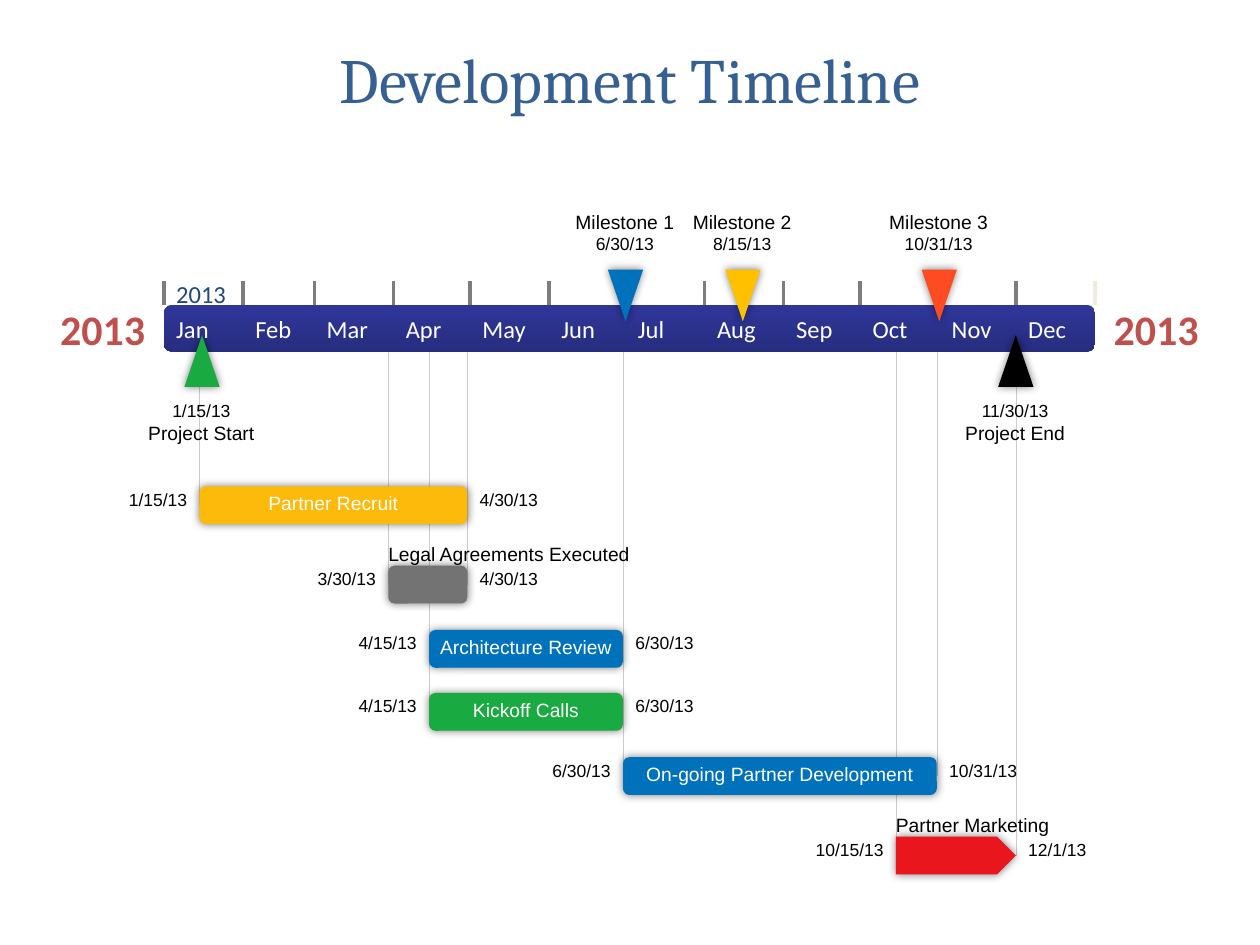
import pptx
import pptx.util
import pptx.dml.color
import pptx.enum.shapes
import pptx.enum.text
import pptx.oxml
import pptx.oxml.ns

Inches = pptx.util.Inches
Pt = pptx.util.Pt
RGB = pptx.dml.color.RGBColor
KIND = pptx.enum.shapes.MSO_SHAPE
ALIGN = pptx.enum.text.PP_ALIGN
ANCHOR = pptx.enum.text.MSO_ANCHOR

BLACK = RGB(0, 0, 0)
WHITE = RGB(255, 255, 255)
BLUE = RGB(0x00, 0x72, 0xBC)
GREEN = RGB(0x1A, 0xAA, 0x42)
GOLD = RGB(0xFE, 0xBA, 0x0A)
AMBER = RGB(0xFF, 0xC0, 0x00)
ORANGE = RGB(0xFF, 0x4B, 0x21)
RED = RGB(0xEA, 0x16, 0x1E)
GRAY = RGB(0x73, 0x73, 0x73)
TICK = RGB(0x7D, 0x7D, 0x7D)
PALE = RGB(0xEE, 0xEC, 0xE1)
RULE = RGB(0xCC, 0xCC, 0xCC)
BRICK = RGB(0xC0, 0x50, 0x4D)
NAVY = RGB(0x1F, 0x49, 0x7D)
STEEL = RGB(0x37, 0x60, 0x92)
INDIGO = (RGB(0x2F, 0x36, 0x99), RGB(0x27, 0x2D, 0x7F))

LEFT, TOP, WIDTH, HEIGHT = 1.3, 2.42, 7.39, 0.37
MONTHS = {"Jan": 31, "Feb": 28, "Mar": 31, "Apr": 30, "May": 31, "Jun": 30,
          "Jul": 31, "Aug": 31, "Sep": 30, "Oct": 31, "Nov": 30, "Dec": 31}

# name, start, end, top, colour, name inside the bar, shape
TASKS = [
    ("Partner Recruit", "1/15/13", "4/30/13", 3.86, GOLD, True, KIND.ROUNDED_RECTANGLE),
    ("Legal Agreements Executed", "3/30/13", "4/30/13", 4.49, GRAY, False,
     KIND.ROUNDED_RECTANGLE),
    ("Architecture Review", "4/15/13", "6/30/13", 5, BLUE, True, KIND.ROUNDED_RECTANGLE),
    ("Kickoff Calls", "4/15/13", "6/30/13", 5.5, GREEN, True, KIND.ROUNDED_RECTANGLE),
    ("On-going Partner Development", "6/30/13", "10/31/13", 6.01, BLUE, True,
     KIND.ROUNDED_RECTANGLE),
    ("Partner Marketing", "10/15/13", "12/1/13", 6.64, RED, False, KIND.PENTAGON),
]
# name, date, colour, above the band
MARKS = [
    ("Project End", "11/30/13", BLACK, False),
    ("Milestone 3", "10/31/13", ORANGE, True),
    ("Milestone 2", "8/15/13", AMBER, True),
    ("Milestone 1", "6/30/13", BLUE, True),
    ("Project Start", "1/15/13", GREEN, False),
]


def place(date):
    """Return the horizontal position of a date on the band."""
    month, day = [int(part) for part in date.split("/")[:2]]
    days = sum(list(MONTHS.values())[:month - 1]) + day - 1
    return LEFT + WIDTH * days / 365


def apply(item, values):
    """Set each attribute in a dict of format values."""
    for name, value in values.items():
        setattr(item, name, value)


def write(shape, text, size, color, face="Arial", align=ALIGN.LEFT, bold=False,
          anchor=ANCHOR.TOP, wrap=False, pads=(0.1, 0.05, 0.1, 0.05), space=None):
    """Fill a shape with one formatted paragraph."""
    frame = shape.text_frame
    sides = ("margin_left", "margin_top", "margin_right", "margin_bottom")
    apply(frame, {"text": text, "word_wrap": wrap, "vertical_anchor": anchor})
    apply(frame, {side: Inches(pad) for side, pad in zip(sides, pads)})
    para = frame.paragraphs[0]
    apply(para, {"alignment": align, "line_spacing": space})
    font = para.runs[0].font
    apply(font, {"name": face, "size": Pt(size), "bold": bold})
    font.color.rgb = color


def label(slide, box, text, size, color, **style):
    """Add a text box."""
    shape = slide.shapes.add_textbox(*[Inches(n) for n in box])
    write(shape, text, size, color, **style)


def line(slide, x, start, end, color, width):
    """Add an upright line."""
    rule = slide.shapes.add_connector(
        pptx.enum.shapes.MSO_CONNECTOR.STRAIGHT,
        Inches(x), Inches(start), Inches(x), Inches(end))
    rule.line.color.rgb = color
    rule.line.width = Pt(width)
    rule._element.spPr.append(pptx.oxml.parse_xml(
        "<a:effectLst %s/>" % pptx.oxml.ns.nsdecls("a")))


def block(slide, kind, box, color=None):
    """Add a shape without outline; a coloured one gets a soft shadow."""
    shape = slide.shapes.add_shape(kind, *[Inches(n) for n in box])
    shape.shadow.inherit = False
    shape.line.fill.background()
    if color is not None:
        shape.fill.solid()
        shape.fill.fore_color.rgb = color
        glow = shape._element.spPr.find(pptx.oxml.ns.qn("a:effectLst"))
        glow.append(pptx.oxml.parse_xml(
            '<a:outerShdw %s blurRad="%d" dist="0" dir="0" algn="ctr" rotWithShape="0">'
            '<a:srgbClr val="000000"><a:alpha val="50000"/></a:srgbClr>'
            '</a:outerShdw>' % (pptx.oxml.ns.nsdecls("a"), Pt(5))))
    return shape


def bar(slide, name, start, end, top, color, inside, kind):
    """Add a task bar with its two drop lines."""
    left, right = place(start), place(end)
    for x in (right, left):
        line(slide, x, TOP + HEIGHT, top + 0.15, RULE, 0.1)
    shape = block(slide, kind, (left, top, right - left, 0.3), color)
    if inside:
        write(shape, name, 11, WHITE, align=ALIGN.CENTER, anchor=ANCHOR.MIDDLE,
              pads=(0.05, 0.02, 0.05, 0.01), space=Pt(10))


def notes(slide, name, start, end, top, color, inside, kind):
    """Add the dates beside a bar, and its name above if not inside."""
    left, right = place(start), place(end)
    if not inside:
        label(slide, (left, top - 0.15, 2.36, 0.15), name, 11, BLACK,
              anchor=ANCHOR.BOTTOM, wrap=True, pads=(0, 0, 0, 0), space=Pt(10.5))
    wide = 0.15 + 0.07 * len(start)
    label(slide, (left - wide, top - 0.03, wide, 0.36), start, 10, BLACK,
          align=ALIGN.RIGHT, pads=(0, 0.05, 0.1, 0.05))
    label(slide, (right, top - 0.03, 0.15 + 0.07 * len(end), 0.36), end, 10, BLACK,
          pads=(0.1, 0.05, 0, 0.05))


def band(slide):
    """Add the year band with its months and ticks."""
    shape = block(slide, KIND.ROUNDED_RECTANGLE, (LEFT, TOP, WIDTH, HEIGHT))
    shape.fill.gradient()
    shape.fill.gradient_angle = 270
    for stop, color in zip(shape.fill.gradient_stops, INDIGO):
        stop.color.rgb = color
    for x in (0.47, 8.83):
        label(slide, (x, TOP, 0.69, HEIGHT), "2013", 24, BRICK, face="Calibri",
              bold=True, align=ALIGN.CENTER, anchor=ANCHOR.MIDDLE, pads=(0, 0, 0, 0))
    label(slide, (LEFT, 2.05, 0.62, 0.45), "2013", 14, NAVY, face="Calibri",
          anchor=ANCHOR.BOTTOM, wrap=True)
    for index, month in enumerate(MONTHS, 1):
        x = place("%d/1" % index)
        line(slide, x, TOP, 2.23, TICK, 2)
        label(slide, (x, TOP, 0.62, HEIGHT), month, 14, WHITE, face="Calibri",
              anchor=ANCHOR.MIDDLE, wrap=True)
    line(slide, LEFT + WIDTH, TOP, 2.23, PALE, 2)


def mark(slide, name, date, color, above):
    """Add a milestone triangle with its name and date."""
    mid = place(date) + 0.02
    shape = block(slide, KIND.FLOWCHART_MERGE,
                  (mid - 0.14, 2.14 if above else 2.66, 0.28, 0.41), color)
    shape.rotation = 0 if above else 180
    left = mid - 0.77
    label(slide, (left, 1.65 if above else 3.33, 1.53, 0.25), name, 11, BLACK,
          align=ALIGN.CENTER, anchor=ANCHOR.BOTTOM if above else ANCHOR.TOP,
          wrap=True, space=0.8)
    label(slide, (left, 1.85 if above else 3.09, 1.53, 0.33), date, 10, BLACK,
          align=ALIGN.CENTER, anchor=ANCHOR.TOP if above else ANCHOR.MIDDLE,
          pads=(0.1, 0 if above else 0.05, 0.1, 0.05))


def main():
    """Build the timeline slide."""
    deck = pptx.Presentation()
    apply(deck, {"slide_width": Inches(10), "slide_height": Inches(7.5)})
    slide = deck.slides.add_slide(deck.slide_layouts[5])
    title = slide.shapes.title
    apply(title, {"left": Inches(0.5), "top": Inches(0),
                  "width": Inches(9), "height": Inches(1.25)})
    write(title, "Development Timeline", 36, STEEL, face="Cambria",
          align=ALIGN.CENTER, anchor=ANCHOR.MIDDLE, wrap=True)
    for task in reversed(TASKS):
        bar(slide, *task)
    band(slide)
    for item in MARKS:
        mark(slide, *item)
    for task in TASKS:
        notes(slide, *task)
    deck.save("out.pptx")


main()
